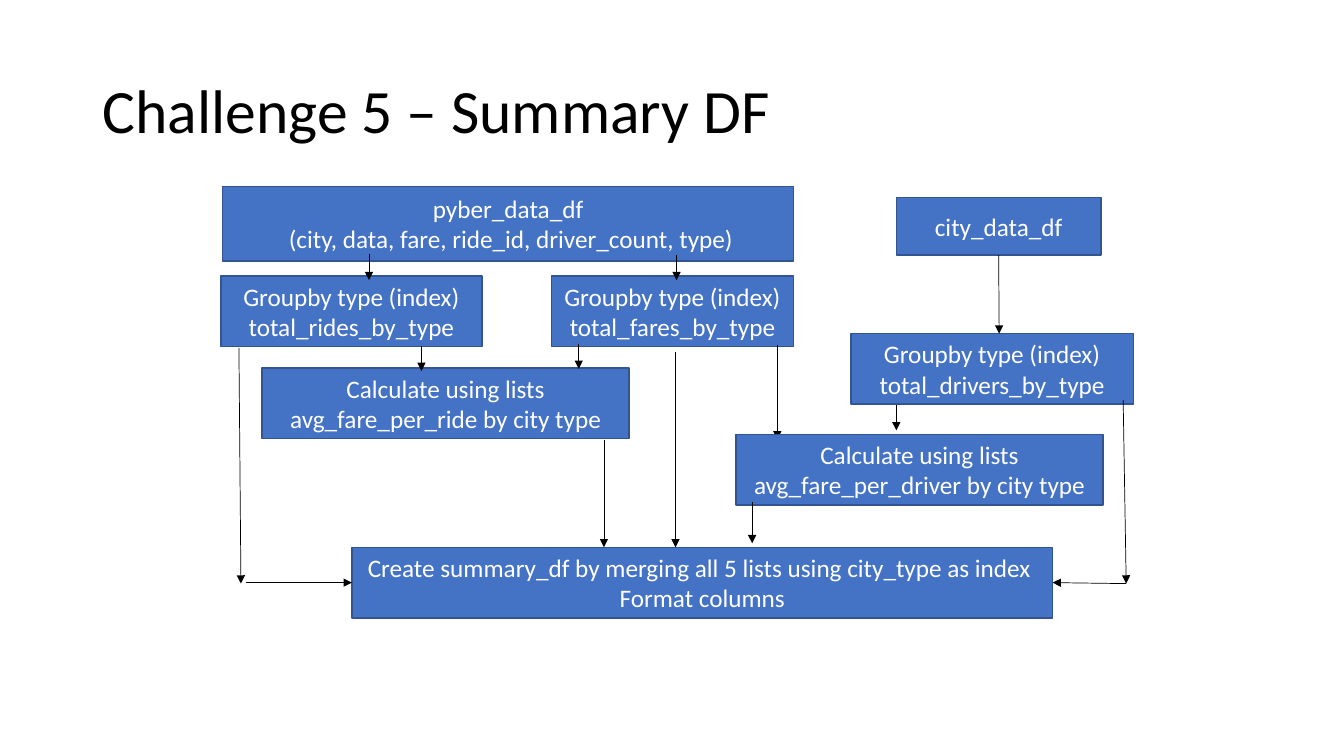
from lxml.etree import SubElement
from pptx import Presentation
from pptx.dml.color import RGBColor
from pptx.enum.shapes import MSO_CONNECTOR as Connector, MSO_SHAPE as Shape
from pptx.enum.text import MSO_ANCHOR as Anchor, PP_ALIGN as Align
from pptx.oxml.ns import qn
from pptx.util import Inches, Pt

COLORS = {"box": "4472C4", "border": "325491", "light": "FFFFFF", "dark": "000000"}
BOTTOM, LEFT, RIGHT = 2, 1, 3
STEP_HEIGHT = 0.7
CALC_WIDTH = 3.64


def color(key):
    """Return the named colour."""
    return RGBColor.from_string(COLORS[key])


def write(frame, lines, size, ink, align, spacing=1.0):
    """Fill a text frame with one paragraph per line."""
    frame.word_wrap = True
    frame.vertical_anchor = Anchor.MIDDLE
    for index, line in enumerate(lines):
        paragraph = frame.paragraphs[0] if index == 0 else frame.add_paragraph()
        paragraph.alignment = align
        paragraph.line_spacing = spacing
        run = paragraph.add_run()
        run.text = line
        run.font.color.rgb = color(ink)
        for name, value in {"name": "Calibri", "size": Pt(size)}.items():
            setattr(run.font, name, value)


def add_step(slide, origin, offset, width, height, *lines):
    """Add a labelled step at an offset from its region's origin."""
    left, top = (start + shift for start, shift in zip(origin, offset))
    step = slide.shapes.add_shape(
        Shape.RECTANGLE, Inches(left), Inches(top), Inches(width), Inches(height))
    step.shadow.inherit = False
    step.fill.solid()
    step.fill.fore_color.rgb = color("box")
    step.line.color.rgb = color("border")
    step.line.width = Pt(1)
    write(step.text_frame, lines, 18, "light", Align.CENTER)
    return step


def add_arrow(slide, origin, start, end):
    """Add an arrow between two offsets from its region's origin."""
    x, y = origin
    arrow = slide.shapes.add_connector(
        Connector.STRAIGHT, Inches(x + start[0]), Inches(y + start[1]),
        Inches(x + end[0]), Inches(y + end[1]))
    arrow.line.color.rgb = color("dark")
    arrow.line.width = Pt(0.5)
    SubElement(arrow.line._get_or_add_ln(), qn("a:tailEnd"), type="triangle")
    SubElement(arrow._element.spPr, qn("a:effectLst"))
    return arrow


def add_title(slide, left, top, width, height):
    """Add the slide title."""
    title = slide.shapes.add_textbox(
        Inches(left), Inches(top), Inches(width), Inches(height))
    write(title.text_frame, ["Challenge 5 – Summary DF"], 44, "dark", Align.LEFT, 0.9)


def add_ride_branch(slide, *origin):
    """Add the steps from ride data to the average fare per ride."""
    add_step(slide, origin, (0.02, 0), 5.66, 0.74, "pyber_data_df",
             " (city, data, fare, ride_id, driver_count, type)")
    for left, width, total in ((0, 2.59, "rides"), (3.28, 2.4, "fares")):
        add_step(slide, origin, (left, 0.89), width, STEP_HEIGHT,
                 f"Groupby type (index) total_{total}_by_type")
    add_step(slide, origin, (0.41, 1.8), CALC_WIDTH, STEP_HEIGHT,
             "Calculate using lists", "avg_fare_per_ride by city type")
    for x, top, bottom in ((1.47, 0.67, 0.93), (4.52, 0.68, 0.93), (1.99, 1.58, 1.83),
                           (3.55, 1.56, 1.81), (5.52, 1.57, 2.51)):
        add_arrow(slide, origin, (x, top), (x, bottom))


def add_driver_branch(slide, *origin):
    """Add the steps from city data to the average fare per driver."""
    city = add_step(slide, origin, (1.59, 0), 2.03, 0.57, "city_data_df")
    add_step(slide, origin, (1.14, 1.35), 2.8, STEP_HEIGHT,
             "Groupby type (index) total_drivers_by_type")
    add_step(slide, origin, (0, 2.35), CALC_WIDTH, STEP_HEIGHT,
             "Calculate using lists", "avg_fare_per_driver by city type")
    add_arrow(slide, origin, (2.61, 0.57), (2.61, 1.35)).begin_connect(city, BOTTOM)
    add_arrow(slide, origin, (1.59, 2.06), (1.59, 2.31))


def add_merge(slide, *origin):
    """Add the summary step and the five lists flowing into it."""
    summary = add_step(
        slide, origin, (1.12, 1.98), 6.95, STEP_HEIGHT,
        "Create summary_df by merging all 5 lists using city_type as index ",
        "Format columns")
    for start, end in (((5.09, 1.53), (5.09, 1.94)), ((3.62, 0.92), (3.62, 1.98)),
                       ((4.33, 0.04), (4.33, 1.98)), ((0, 0), (0.02, 2.34)),
                       ((8.77, 0.52), (8.8, 2.34))):
        add_arrow(slide, origin, start, end)
    for start, end, side in (((0.07, 2.33), (1.12, 2.33), LEFT),
                             ((8.8, 2.34), (8.07, 2.33), RIGHT)):
        add_arrow(slide, origin, start, end).end_connect(summary, side)


def main():
    """Build and save the slide."""
    deck = Presentation()
    deck.slide_width, deck.slide_height = Inches(13.33), Inches(7.5)
    slide = deck.slides.add_slide(deck.slide_layouts[6])
    add_title(slide, 0.92, 0.4, 11.5, 1.45)
    add_ride_branch(slide, 2.19, 1.85)
    add_driver_branch(slide, 7.3, 1.96)
    add_merge(slide, 2.37, 3.45)
    deck.save("out.pptx")


if __name__ == "__main__":
    main()
